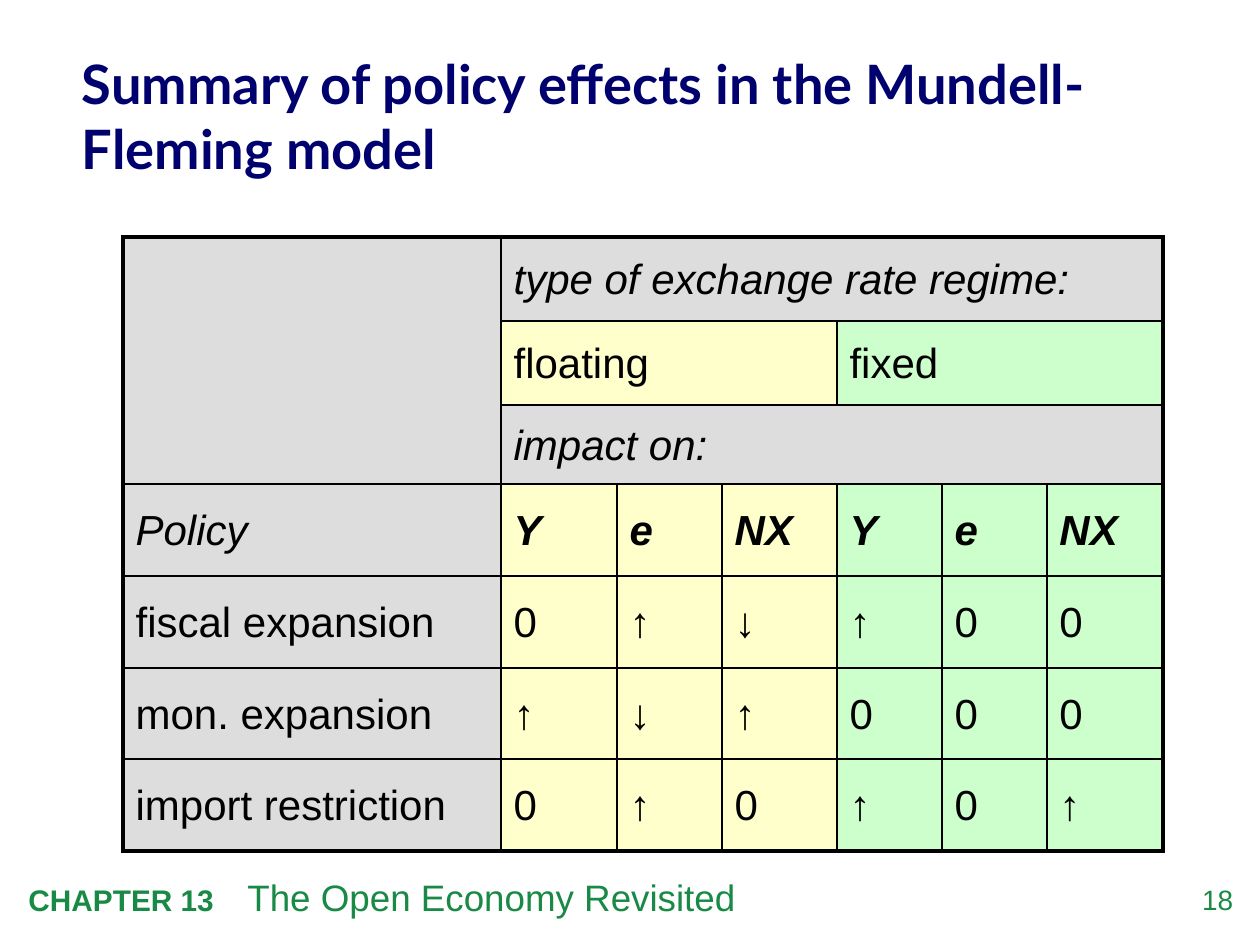
from dataclasses import dataclass

from lxml import etree
from pptx import Presentation
from pptx.dml.color import RGBColor
from pptx.enum.text import MSO_ANCHOR, PP_ALIGN
from pptx.oxml.ns import qn
from pptx.util import Emu, Pt

MIDDLE, TOP = MSO_ANCHOR.MIDDLE, MSO_ANCHOR.TOP
LEFT, RIGHT = PP_ALIGN.LEFT, PP_ALIGN.RIGHT
PX = 914400 / 126


@dataclass(frozen=True)
class Theme:
    navy: str = "00006E"
    green: str = "198A46"
    black: str = "000000"
    grey: str = "DDDDDD"
    floating: str = "FFFFCC"
    fixed: str = "CCFFCC"
    heading: str = "Lato"
    body: str = "Arial"
    title_pt: float = 31
    table_pt: float = 24
    subject_pt: float = 21
    chapter_pt: float = 17
    page_pt: float = 16
    inner_pt: float = 1
    outer_pt: float = 2.25


@dataclass(frozen=True)
class Entry:
    row: int
    col: int
    text: str
    fill: str
    rows: int = 1
    cols: int = 1
    bold: bool = False
    italic: bool = False


THEME = Theme()
COL_WIDTHS = (378, 116, 105, 115, 105, 105, 116)
ROW_HEIGHTS = (84, 84, 79, 92, 92, 91, 92)
HEADERS = (
    Entry(0, 0, "", THEME.grey, rows=3),
    Entry(0, 1, "type of exchange rate regime:", THEME.grey, cols=6, italic=True),
    Entry(1, 1, "floating", THEME.floating, cols=3),
    Entry(1, 4, "fixed", THEME.fixed, cols=3),
    Entry(2, 1, "impact on:", THEME.grey, cols=6, italic=True),
)
EFFECTS = (
    ("Policy", "Y", "e", "NX", "Y", "e", "NX"),
    ("fiscal expansion", "0", "↑", "↓", "↑", "0", "0"),
    ("mon. expansion", "↑", "↓", "↑", "0", "0", "0"),
    ("import restriction", "0", "↑", "0", "↑", "0", "↑"),
)


def px(value: int) -> Emu:
    """Turn whole pixels into EMU."""
    return Emu(round(value * PX))


def set_all(target, values: dict) -> None:
    """Set every named attribute on the target."""
    for name, value in values.items():
        setattr(target, name, value)


def place(s, left: int, top: int, width: int, height: int) -> None:
    """Move and size a shape in pixels."""
    set_all(s, dict(left=px(left), top=px(top), width=px(width), height=px(height)))


def add_run(p, text: str, size: float, color: str, font: str = THEME.body,
            bold: bool = False, italic: bool = False) -> None:
    """Add one formatted run to a paragraph."""
    r = p.add_run()
    r.text = text
    set_all(r.font, dict(name=font, size=Pt(size), bold=bold, italic=italic))
    r.font.color.rgb = RGBColor.from_string(color)


def frame(s, anchor, inset: bool = False):
    """Prepare a wrapping text frame and return its first paragraph."""
    tf = s.text_frame
    set_all(tf, dict(word_wrap=True, vertical_anchor=anchor))
    if not inset:
        set_all(tf, dict.fromkeys(
            ("margin_left", "margin_right", "margin_top", "margin_bottom"), 0))
    return tf.paragraphs[0]


def add_borders(cell, entry: Entry) -> None:
    """Draw thick lines on the table edge and thin lines inside."""
    outer = {
        "L": entry.col == 0,
        "R": entry.col + entry.cols == len(COL_WIDTHS),
        "T": entry.row == 0,
        "B": entry.row + entry.rows == len(ROW_HEIGHTS),
    }
    tc_pr = cell._tc.get_or_add_tcPr()
    for side, thick in outer.items():
        width = Pt(THEME.outer_pt if thick else THEME.inner_pt)
        ln = etree.SubElement(tc_pr, qn(f"a:ln{side}"), w=str(int(width)))
        fill = etree.SubElement(ln, qn("a:solidFill"))
        etree.SubElement(fill, qn("a:srgbClr"), val=THEME.black)


def add_entry(table, entry: Entry) -> None:
    """Fill one table cell, merging it when it spans several."""
    cell = table.cell(entry.row, entry.col)
    if entry.rows * entry.cols > 1:
        cell.merge(table.cell(entry.row + entry.rows - 1, entry.col + entry.cols - 1))
    add_borders(cell, entry)
    cell.fill.solid()
    cell.fill.fore_color.rgb = RGBColor.from_string(entry.fill)
    cell.vertical_anchor = MIDDLE
    p = cell.text_frame.paragraphs[0]
    p.line_spacing = 1.05
    if entry.text:
        add_run(p, entry.text, THEME.table_pt, THEME.black,
                bold=entry.bold, italic=entry.italic)


def add_effects_table(slide) -> None:
    """Build the table of policy effects."""
    table = slide.shapes.add_table(
        len(ROW_HEIGHTS), len(COL_WIDTHS), px(123), px(237),
        px(sum(COL_WIDTHS)), px(sum(ROW_HEIGHTS))).table
    set_all(table, dict(first_row=False, horz_banding=False))
    for column, width in zip(table.columns, COL_WIDTHS):
        column.width = px(width)
    for row, height in zip(table.rows, ROW_HEIGHTS):
        row.height = px(height)
    fills = (THEME.grey,) + (THEME.floating,) * 3 + (THEME.fixed,) * 3
    body = [
        Entry(i + 3, j, text, fills[j], bold=i == 0 and j > 0, italic=i == 0)
        for i, texts in enumerate(EFFECTS) for j, text in enumerate(texts)
    ]
    for entry in (*HEADERS, *body):
        add_entry(table, entry)


def add_title(slide) -> None:
    """Format the title placeholder."""
    s = slide.shapes.title
    place(s, 82, 33, 1119, 165)
    p = frame(s, MIDDLE)
    p.alignment = LEFT
    add_run(p, "Summary of policy effects in the Mundell-Fleming model",
            THEME.title_pt, THEME.navy, THEME.heading, bold=True)


def add_footer(slide) -> None:
    """Add the chapter line and the page number."""
    p = frame(slide.shapes.add_textbox(px(16), px(869), px(1031), px(57)), TOP, True)
    tabs = etree.SubElement(p._p.get_or_add_pPr(), qn("a:tabLst"))
    etree.SubElement(tabs, qn("a:tab"), pos=str(int(px(219))), algn="l")
    add_run(p, "CHAPTER 13\t", THEME.chapter_pt, THEME.green, bold=True)
    add_run(p, "The Open Economy Revisited", THEME.subject_pt, THEME.green)
    p = frame(slide.shapes.add_textbox(px(1164), px(883), px(69), px(40)), TOP)
    p.alignment = RIGHT
    add_run(p, "18", THEME.page_pt, THEME.green)


def main() -> None:
    """Build and save the slide."""
    prs = Presentation()
    set_all(prs, dict(slide_width=px(1260), slide_height=px(945)))
    slide = prs.slides.add_slide(prs.slide_layouts[5])
    add_title(slide)
    add_effects_table(slide)
    add_footer(slide)
    prs.save("out.pptx")


main()
